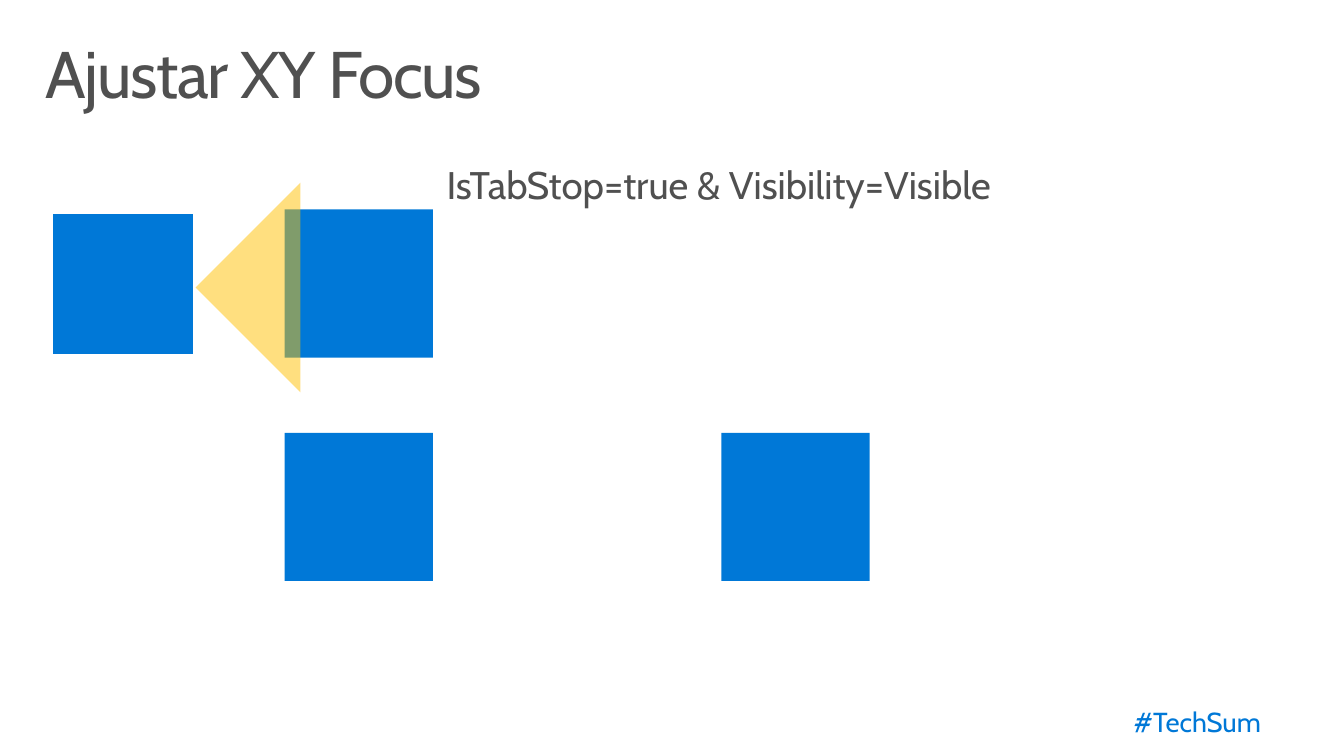
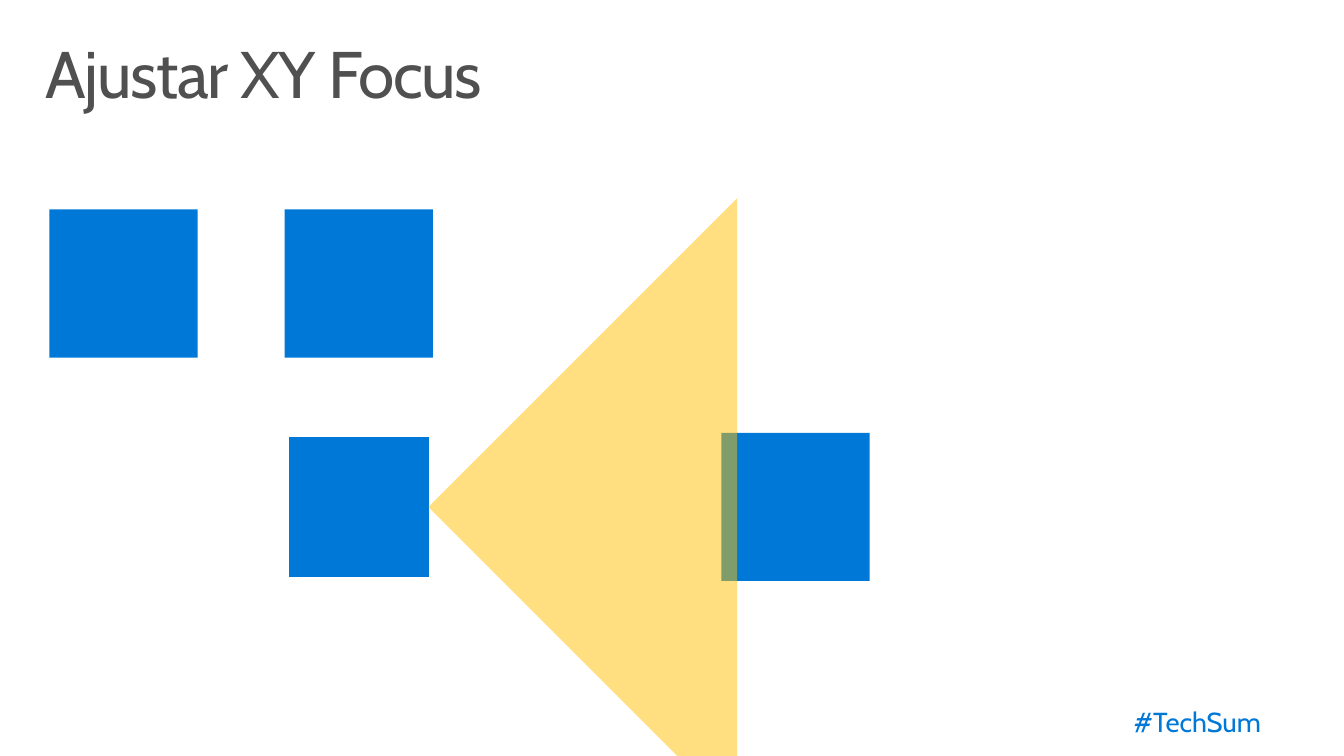
import pptx
import pptx.util
from lxml import etree
from pptx.dml.color import RGBColor
from pptx.enum.shapes import MSO_SHAPE
from pptx.enum.text import MSO_AUTO_SIZE, PP_ALIGN
from pptx.oxml.ns import qn
from pptx.util import Inches

COLORS = {"blue": "0078D7", "gray": "505050", "amber": "FFC000", "white": "FFFFFF"}
FONT = "Cabin"
TITLE = "Ajustar XY Focus"
HASHTAG = "#TechSum"
SQUARE_SIZE = 1.5
SQUARES = {
    "upper left": (0.5, 2.12),
    "upper middle": (2.88, 2.12),
    "lower middle": (2.88, 4.38),
    "lower right": (7.3, 4.38),
}
SLIDES = [
    {
        "focused": "upper left",
        "cone": (2.29, 2.16, 1.5),
        "note": "IsTabStop=true & Visibility=Visible",
    },
    {"focused": "lower middle", "cone": (5.25, 2.92, 4.42), "note": None},
]


def rgb(name):
    return RGBColor.from_string(COLORS[name])


def add_text(slide, text, box, size, color, insets=(0.1, 0.05), wrap=True, grow=False):
    shape = slide.shapes.add_textbox(*map(Inches, box))
    frame = shape.text_frame
    frame.word_wrap = wrap
    frame.auto_size = MSO_AUTO_SIZE.SHAPE_TO_FIT_TEXT if grow else MSO_AUTO_SIZE.NONE
    frame.margin_left = frame.margin_right = Inches(insets[0])
    frame.margin_top = frame.margin_bottom = Inches(insets[1])
    frame.text = text
    paragraph = frame.paragraphs[0]
    font = paragraph.runs[0].font
    font.name = FONT
    font.size = pptx.util.Pt(size)
    font.color.rgb = rgb(color)
    return paragraph


def add_filled_shape(slide, kind, left, top, size, color):
    shape = slide.shapes.add_shape(kind, *map(Inches, (left, top, size, size)))
    shape.shadow.inherit = False
    shape.fill.solid()
    shape.fill.fore_color.rgb = rgb(color)
    shape.line.fill.background()
    return shape


def add_square(slide, left, top, focused):
    square = add_filled_shape(slide, MSO_SHAPE.RECTANGLE, left, top, SQUARE_SIZE, "blue")
    if focused:
        square.line.color.rgb = rgb("white")
        square.line.width = pptx.util.Pt(6)


def add_cone(slide, left, top, size):
    cone = add_filled_shape(slide, MSO_SHAPE.RIGHT_TRIANGLE, left, top, size, "amber")
    cone.rotation = 45
    color = cone.fill._xPr.find(qn("a:solidFill")).find(qn("a:srgbClr"))
    etree.SubElement(color, qn("a:alpha"), val="50000")


def add_frame(slide):
    hashtag = add_text(slide, HASHTAG, (8.97, 7.02, 3.99, 0.63), 20, "blue",
                       insets=(0.2, 0.16), grow=True)
    hashtag.alignment = PP_ALIGN.RIGHT
    hashtag.line_spacing = 0.9
    hashtag.space_after = pptx.util.Pt(6)
    title = add_text(slide, TITLE, (0.3, 0.32, 13, 1), 48, "gray", insets=(0.16, 0.1))
    title.line_spacing = 0.9
    title.runs[0].font._element.set("spc", "-100")


def main():
    presentation = pptx.Presentation()
    presentation.slide_width = Inches(13.6)
    presentation.slide_height = Inches(7.65)
    for content in SLIDES:
        slide = presentation.slides.add_slide(presentation.slide_layouts[6])
        add_frame(slide)
        for name, (left, top) in SQUARES.items():
            add_square(slide, left, top, name == content["focused"])
        add_cone(slide, *content["cone"])
        if content["note"]:
            add_text(slide, content["note"], (4.42, 1.58, 6.31, 0.58), 28, "gray",
                     wrap=False, grow=True)
    presentation.save("out.pptx")


if __name__ == "__main__":
    main()
